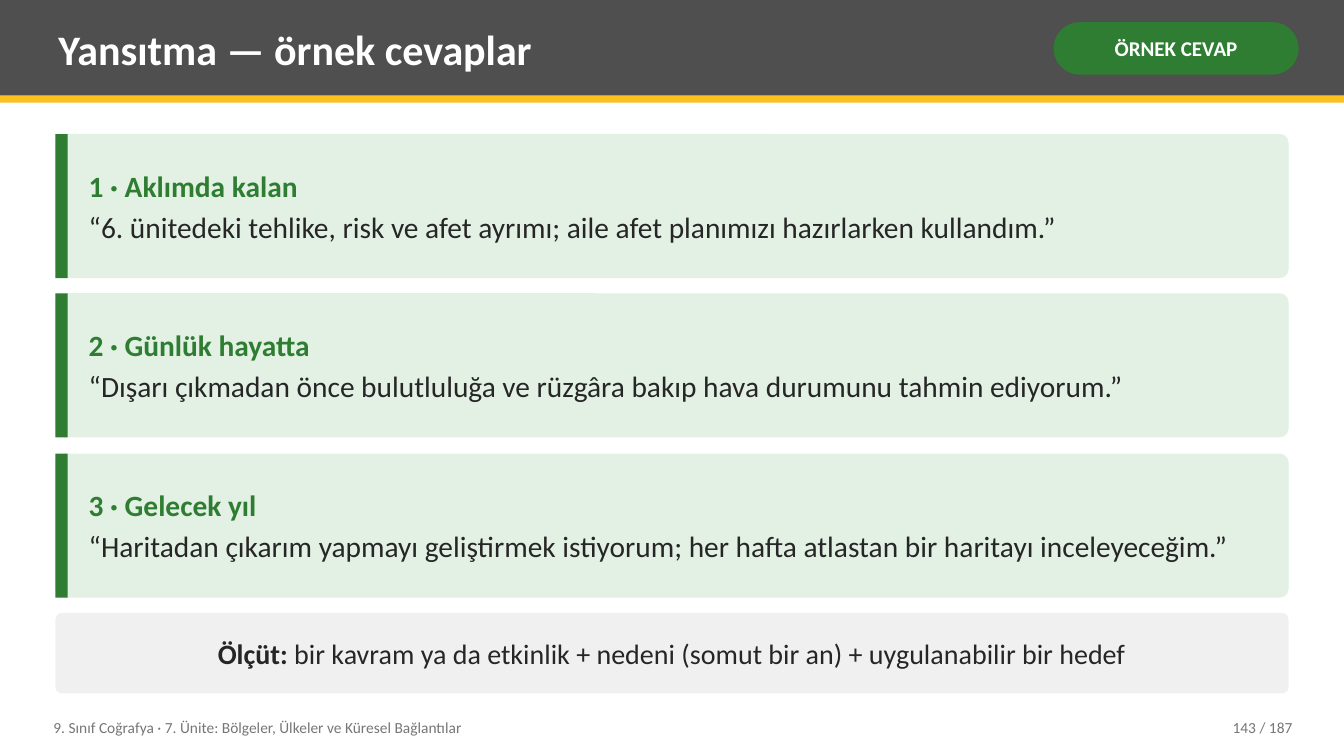
"""Builds the slide of sample reflection answers."""
from pptx import Presentation
from pptx.dml.color import RGBColor
from pptx.enum.shapes import MSO_SHAPE
from pptx.enum.text import MSO_ANCHOR, PP_ALIGN
from pptx.util import Pt

RECT, ROUND = MSO_SHAPE.RECTANGLE, MSO_SHAPE.ROUNDED_RECTANGLE
MIDDLE = MSO_ANCHOR.MIDDLE
LEFT, CENTER, RIGHT = PP_ALIGN.LEFT, PP_ALIGN.CENTER, PP_ALIGN.RIGHT

TITLE = "Yansıtma — örnek cevaplar"
BADGE = "ÖRNEK CEVAP"
ANSWERS = [
    ("1 · Aklımda kalan",
     "“6. ünitedeki tehlike, risk ve afet ayrımı; aile afet planımızı hazırlarken kullandım.”"),
    ("2 · Günlük hayatta",
     "“Dışarı çıkmadan önce bulutluluğa ve rüzgâra bakıp hava durumunu tahmin ediyorum.”"),
    ("3 · Gelecek yıl",
     "“Haritadan çıkarım yapmayı geliştirmek istiyorum; her hafta atlastan bir haritayı inceleyeceğim.”"),
]
CRITERION = ("Ölçüt:", " bir kavram ya da etkinlik + nedeni (somut bir an) + uygulanabilir bir hedef")
UNIT = "9. Sınıf Coğrafya · 7. Ünite: Bölgeler, Ülkeler ve Küresel Bağlantılar"
PAGE = "143 / 187"

FONT = "Calibri"
WHITE, INK, MUTED = "FFFFFF", "262626", "767676"
GRAY, PALE_GRAY, GOLD = "4F4F4F", "F0F0F0", "FCC021"
GREEN, PALE_GREEN = "2E7D32", "E3F1E4"

PX = 9144
SLIDE_W, SLIDE_H = 1333, 750
CARD_X, CARD_W, CARD_H = 55, 1223, 143
CARDS_TOP, CARDS_BOTTOM = 133, 593
STRIPE_W, TEXT_X, TEXT_W, TEXT_PAD = 12, 80, 1188, 6
FOOTER_Y, FOOTER_H = 704, 36


def color(value):
    return RGBColor.from_string(value)


def emu(*lengths):
    return [length * PX for length in lengths]


def add_panel(slide, box, fill, radius=None):
    panel = slide.shapes.add_shape(RECT if radius is None else ROUND, *emu(*box))
    if radius is not None:
        panel.adjustments[0] = radius
    panel.shadow.inherit = False
    panel.fill.solid()
    panel.fill.fore_color.rgb = color(fill)
    panel.line.fill.background()
    return panel


def write(holder, paragraphs, size, align=LEFT, inset=(8, 4), gap=0):
    """Fills a shape with paragraphs, each a list of (text, colour, bold) runs."""
    frame = holder.text_frame
    frame.word_wrap = True
    frame.vertical_anchor = MIDDLE
    frame.margin_left = frame.margin_right = inset[0] * PX
    frame.margin_top = frame.margin_bottom = inset[1] * PX
    for index, runs in enumerate(paragraphs):
        paragraph = frame.add_paragraph() if index else frame.paragraphs[0]
        paragraph.alignment = align
        if index < len(paragraphs) - 1:
            paragraph.space_after = Pt(gap)
        for text, ink, bold in runs:
            run = paragraph.add_run()
            run.text = text
            run.font.name, run.font.size, run.font.bold = FONT, Pt(size), bold
            run.font.color.rgb = color(ink)


def add_text(slide, box, paragraphs, size, **layout):
    write(slide.shapes.add_textbox(*emu(*box)), paragraphs, size, **layout)


def add_header(slide):
    add_panel(slide, (0, 0, SLIDE_W, 95), GRAY)
    add_panel(slide, (0, 95, SLIDE_W, 7), GOLD)
    add_text(slide, (50, 7, 975, 82), [[(TITLE, WHITE, True)]], 30)
    badge = add_panel(slide, (1045, 22, 243, 52), GREEN, radius=0.5)
    write(badge, [[(BADGE, WHITE, True)]], 15, align=CENTER, inset=(5, 2))


def add_answers(slide):
    span = CARDS_BOTTOM - CARDS_TOP - CARD_H
    for index, (heading, answer) in enumerate(ANSWERS):
        top = CARDS_TOP + index * span // (len(ANSWERS) - 1)
        add_panel(slide, (CARD_X, top, CARD_W, CARD_H), PALE_GREEN, radius=0.06)
        add_panel(slide, (CARD_X, top, STRIPE_W, CARD_H), GREEN)
        add_text(slide, (TEXT_X, top + TEXT_PAD, TEXT_W, CARD_H - 2 * TEXT_PAD),
                 [[(heading, GREEN, True)], [(answer, INK, False)]], 21, gap=4)


def add_criterion(slide):
    label, rule = CRITERION
    criterion = add_panel(slide, (CARD_X, 608, CARD_W, 80), PALE_GRAY, radius=0.08)
    write(criterion, [[(label, INK, True), (rule, INK, False)]], 20,
          align=CENTER, inset=(22, 8))


def add_footer(slide):
    for text, left, width, align in [(UNIT, 45, 760, LEFT), (PAGE, 1130, 160, RIGHT)]:
        add_text(slide, (left, FOOTER_Y, width, FOOTER_H),
                 [[(text, MUTED, False)]], 11, align=align)


def main():
    deck = Presentation()
    deck.slide_width, deck.slide_height = emu(SLIDE_W, SLIDE_H)
    slide = deck.slides.add_slide(deck.slide_layouts[6])
    add_header(slide)
    add_answers(slide)
    add_criterion(slide)
    add_footer(slide)
    deck.save("out.pptx")


if __name__ == "__main__":
    main()
